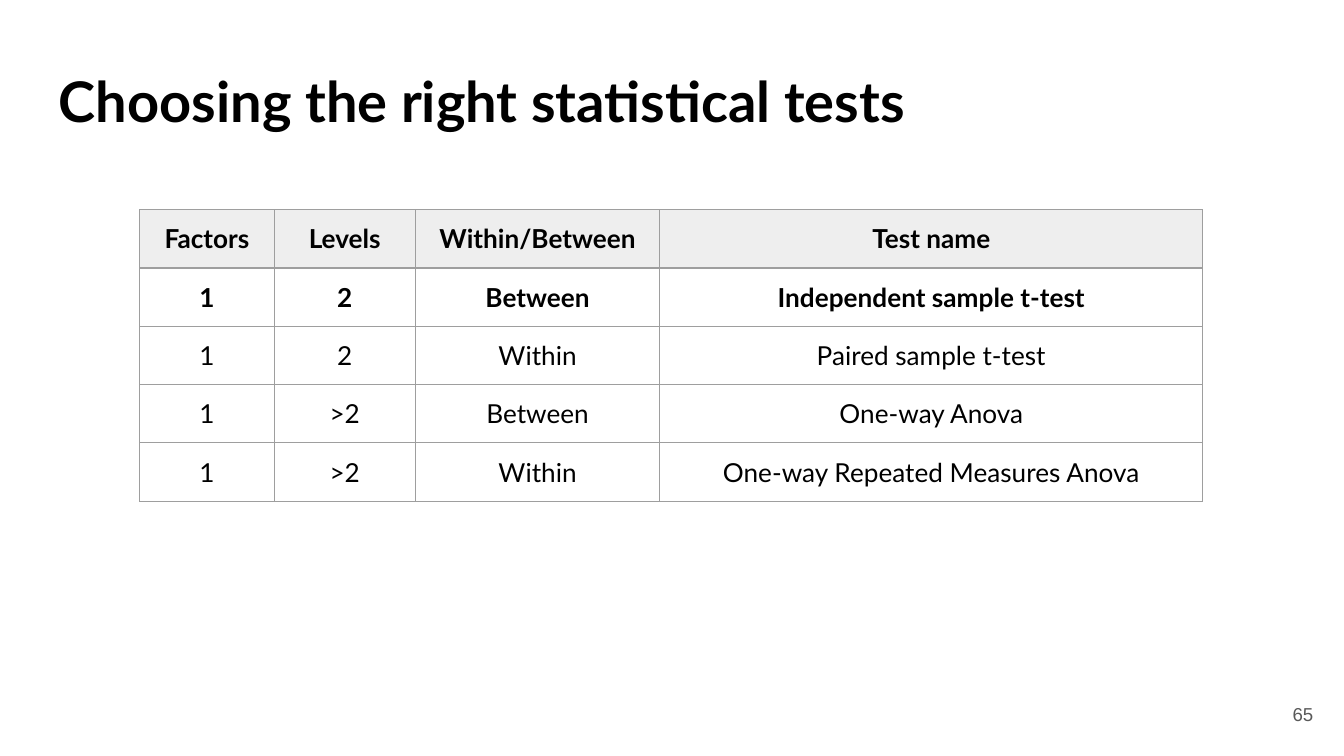
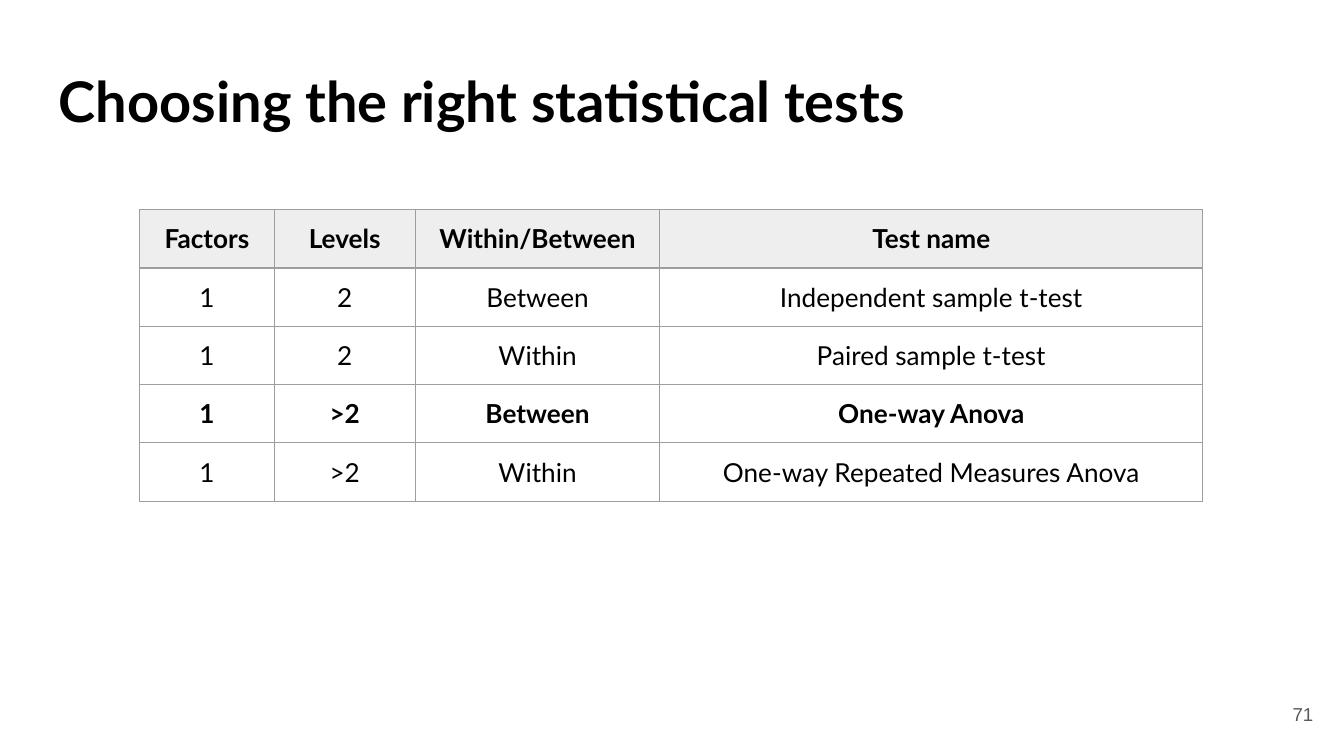
from lxml.etree import SubElement
from pptx import Presentation
from pptx.dml.color import RGBColor
from pptx.enum.text import MSO_ANCHOR, PP_ALIGN
from pptx.oxml.ns import qn
from pptx.util import Inches, Pt

COLORS = {
    "text": "000000",
    "page_number": "595959",
    "header_fill": "EEEEEE",
    "border": "9E9E9E",
}
TEXT_FONT = "Lato"
NUMBER_FONT = "Arial"
INSET = Inches(0.1)

TITLE = "Choosing the right statistical tests"
HEADER = ("Factors", "Levels", "Within/Between", "Test name")
TESTS = (
    ("1", "2", "Between", "Independent sample t-test"),
    ("1", "2", "Within", "Paired sample t-test"),
    ("1", ">2", "Between", "One-way Anova"),
    ("1", ">2", "Within", "One-way Repeated Measures Anova"),
)
COLUMN_WIDTHS = (1, 1.05, 1.82, 4.04)
ROW_HEIGHT = 0.42

# Page number and the test in bold on each slide
PAGES = (
    ("65", "Independent sample t-test"),
    ("71", "One-way Anova"),
)


def add_run(paragraph, text, size, color="text", font=TEXT_FONT, bold=False):
    run = paragraph.add_run()
    run.text = text
    run.font.name = font
    run.font.size = Pt(size)
    run.font.bold = bold
    run.font.color.rgb = RGBColor.from_string(COLORS[color])


def set_insets(holder):
    """Give a text frame or a table cell the same margin on every side."""
    holder.margin_left = holder.margin_right = INSET
    holder.margin_top = holder.margin_bottom = INSET


def add_text_frame(slide, left, top, width, height):
    box = slide.shapes.add_textbox(
        Inches(left), Inches(top), Inches(width), Inches(height))
    frame = box.text_frame
    frame.word_wrap = True
    set_insets(frame)
    return frame


def add_title(slide):
    paragraph = add_text_frame(slide, 0.34, 0.49, 9.32, 0.63).paragraphs[0]
    paragraph.line_spacing = 0.8
    add_run(paragraph, TITLE, 30, bold=True)


def add_page_number(slide, number):
    frame = add_text_frame(slide, 9.27, 5.1, 0.6, 0.43)
    frame.vertical_anchor = MSO_ANCHOR.MIDDLE
    paragraph = frame.paragraphs[0]
    paragraph.alignment = PP_ALIGN.RIGHT
    add_run(paragraph, number, 10, "page_number", NUMBER_FONT)


def set_borders(cell):
    properties = cell._tc.get_or_add_tcPr()
    for side in ("a:lnL", "a:lnR", "a:lnT", "a:lnB"):
        line = SubElement(properties, qn(side), w=str(Pt(0.75)))
        fill = SubElement(line, qn("a:solidFill"))
        SubElement(fill, qn("a:srgbClr"), val=COLORS["border"])


def fill_cell(cell, text, bold, is_header):
    set_insets(cell)
    set_borders(cell)
    if is_header:
        cell.fill.solid()
        cell.fill.fore_color.rgb = RGBColor.from_string(COLORS["header_fill"])
    else:
        cell.fill.background()
    paragraph = cell.text_frame.paragraphs[0]
    paragraph.alignment = PP_ALIGN.CENTER
    add_run(paragraph, text, 14, bold=bold)


def add_test_table(slide, current_test):
    """Add the table of tests with the row of current_test in bold."""
    rows = (HEADER, *TESTS)
    table = slide.shapes.add_table(
        len(rows), len(HEADER), Inches(1.04), Inches(1.56),
        Inches(sum(COLUMN_WIDTHS)), Inches(ROW_HEIGHT * len(rows))).table
    table.first_row = True
    table.horz_banding = False
    for column, width in zip(table.columns, COLUMN_WIDTHS):
        column.width = Inches(width)
    for row_index, texts in enumerate(rows):
        table.rows[row_index].height = Inches(ROW_HEIGHT)
        is_header = row_index == 0
        bold = is_header or texts[-1] == current_test
        for column_index, text in enumerate(texts):
            fill_cell(table.cell(row_index, column_index), text, bold, is_header)


def main():
    deck = Presentation()
    deck.slide_width = Inches(10)
    deck.slide_height = Inches(10 * 9 / 16)
    blank = deck.slide_layouts[6]
    for number, current_test in PAGES:
        slide = deck.slides.add_slide(blank)
        add_title(slide)
        add_test_table(slide, current_test)
        add_page_number(slide, number)
    deck.save("out.pptx")


if __name__ == "__main__":
    main()
